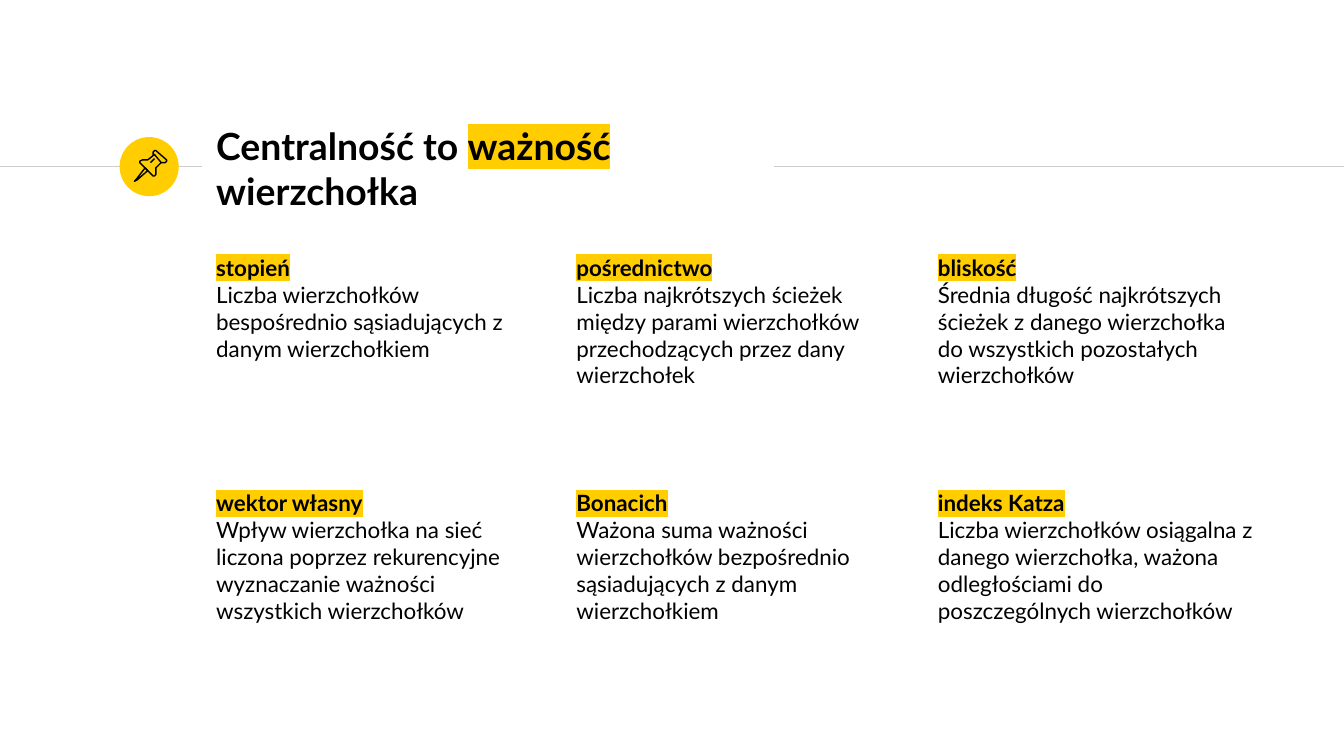
import pptx
import pptx.dml.color
import pptx.enum.shapes
import pptx.enum.text
import pptx.oxml
import pptx.oxml.ns
import pptx.util
from pptx.util import Inches

YELLOW = "FFCD00"
BLACK = "000000"
GRAY = "CCCCCC"
NS = pptx.oxml.ns.nsdecls("a")


def color(value):
    return pptx.dml.color.RGBColor.from_string(value)


def add_line(x1, y1, x2, y2, line_color):
    line = s.shapes.add_connector(pptx.enum.shapes.MSO_CONNECTOR.STRAIGHT,
                                  Inches(x1), Inches(y1), Inches(x2), Inches(y2))
    line.line.color.rgb = color(line_color)
    line.line.width = pptx.util.Pt(0.75)
    line._element.spPr.append(pptx.oxml.parse_xml(f"<a:effectLst {NS}/>"))


prs = pptx.Presentation()
prs.slide_width = Inches(10)
prs.slide_height = prs.slide_width * 9 // 16
s = prs.slides.add_slide(prs.slide_layouts[6])

# Rules on both sides of the title, and the round badge
add_line(0, 1.24, 1.5, 1.24, GRAY)
add_line(5.76, 1.24, 10, 1.24, GRAY)
badge = s.shapes.add_shape(pptx.enum.shapes.MSO_SHAPE.OVAL,
                           Inches(0.89), Inches(1.02), Inches(0.44), Inches(0.44))
badge.shadow.inherit = False
badge.fill.solid()
badge.fill.fore_color.rgb = color(YELLOW)
badge.line.fill.background()

# Text boxes: left, top, width, height, size, anchor, and paragraphs as
# (bold, [(text, highlighted), ...])
TOP = pptx.enum.text.MSO_ANCHOR.TOP
MIDDLE = pptx.enum.text.MSO_ANCHOR.MIDDLE
boxes = [(1.51, 1.01, 4.24, 0.48, 20, MIDDLE,
          [(True, [("Centralność to ", False), ("ważność", True), (" wierzchołka", False)])])]

measures = [
    ("stopień", "Liczba wierzchołków bespośrednio sąsiadujących z danym wierzchołkiem"),
    ("pośrednictwo", "Liczba najkrótszych ścieżek między parami wierzchołków "
                     "przechodzących przez dany wierzchołek"),
    ("bliskość", "Średnia długość najkrótszych ścieżek z danego wierzchołka "
                 "do wszystkich pozostałych wierzchołków"),
    ("wektor własny", "Wpływ wierzchołka na sieć liczona poprzez rekurencyjne "
                      "wyznaczanie ważności wszystkich wierzchołków"),
    ("Bonacich", "Ważona suma ważności wierzchołków bezpośrednio sąsiadujących "
                 "z danym wierzchołkiem"),
    ("indeks Katza", "Liczba wierzchołków osiągalna z danego wierzchołka, ważona "
                     "odległościami do poszczególnych wierzchołków"),
]
columns = [1.51, 4.19, 6.88]
rows = [1.79, 3.54]
for i, (name, description) in enumerate(measures):
    boxes.append((columns[i % 3], rows[i // 3], 2.55, 1.32, 12, TOP,
                  [(True, [(name, True)]), (False, [(description, False)])]))

for left, top, width, height, size, anchor, paragraphs in boxes:
    tf = s.shapes.add_textbox(Inches(left), Inches(top), Inches(width), Inches(height)).text_frame
    tf.word_wrap = True
    tf.vertical_anchor = anchor
    tf.margin_left = tf.margin_right = tf.margin_top = tf.margin_bottom = Inches(0.1)
    for i, (bold, runs) in enumerate(paragraphs):
        p = tf.add_paragraph() if i else tf.paragraphs[0]
        p.font.name = "Lato"
        p.font.size = pptx.util.Pt(size)
        p.font.bold = bold
        p.font.color.rgb = color(BLACK)
        for text, highlighted in runs:
            r = p.add_run()
            r.text = text
            if highlighted:
                r._r.get_or_add_rPr().append(pptx.oxml.parse_xml(
                    f'<a:highlight {NS}><a:srgbClr val="{YELLOW}"/></a:highlight>'))

# Pin outlines in hundredths of an inch: needle, head, body
needle = [(108, 125), (101, 134), (100, 135), (102, 134), (110, 127)]
head = [(115, 115), (120, 121), (122, 121), (123, 121), (124, 120), (124, 119),
        (116, 112), (115, 112), (114, 113), (114, 115)]
body = [(115, 115), (110, 119), (108, 119), (106, 119), (104, 120), (104, 121),
        (114, 131), (115, 131), (116, 130), (116, 128), (116, 125), (120, 121)]
for points, closed in [(needle, True), (head, True), (body, False)]:
    builder = s.shapes.build_freeform(*points[0], scale=Inches(0.01))
    builder.add_line_segments(points[1:], close=closed)
    sp = builder.convert_to_shape()
    sp.shadow.inherit = False
    sp.fill.background()
    sp.line.color.rgb = color(BLACK)
    sp.line.width = pptx.util.Pt(0.75)
add_line(1.12, 1.21, 1.15, 1.18, BLACK)

prs.save("out.pptx")
